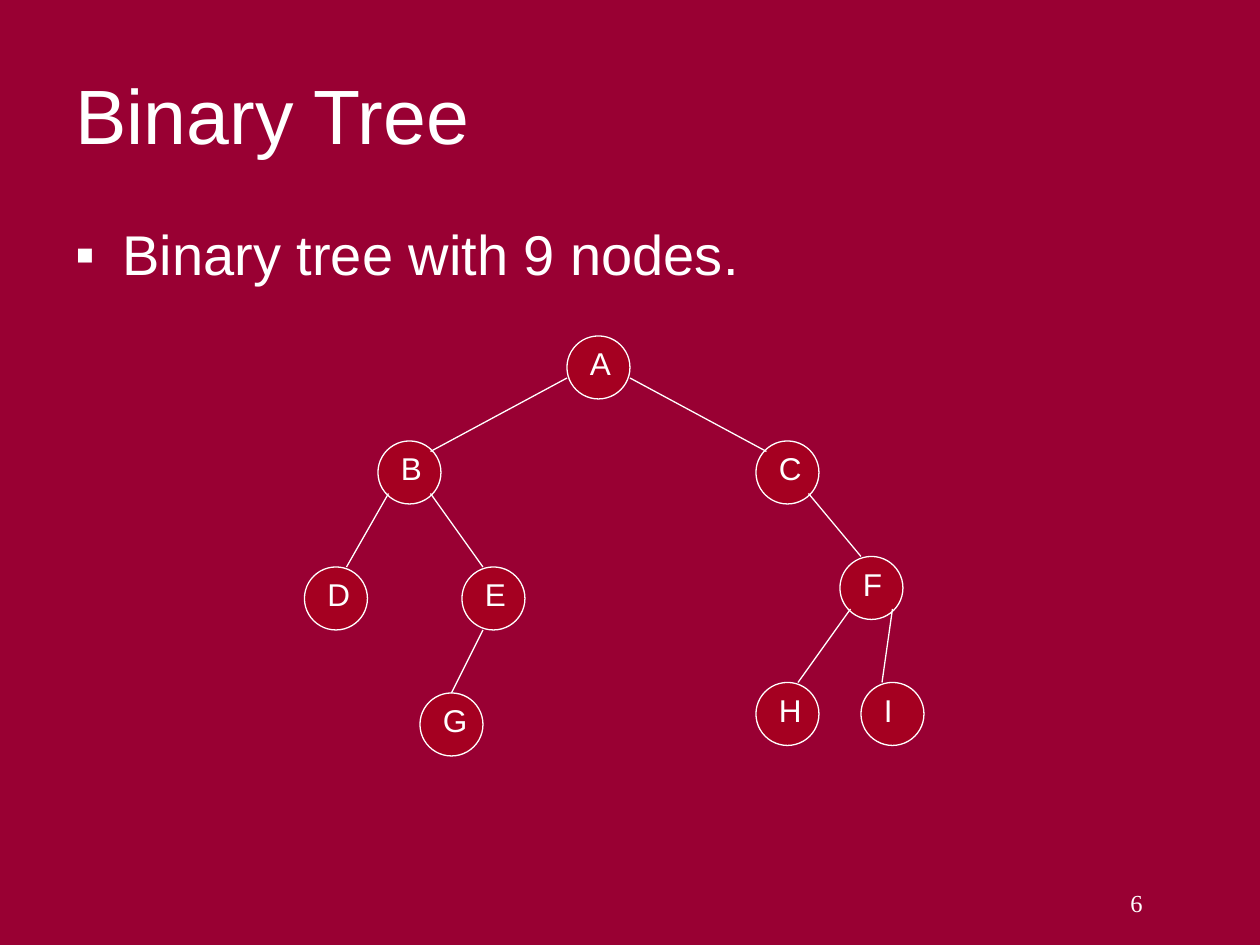
from dataclasses import dataclass

from lxml import etree
from pptx import Presentation
from pptx import util as u
from pptx.dml.color import RGBColor
from pptx.enum import shapes, text
from pptx.oxml.ns import qn

PX = u.Inches(1) // 120  # 120 px to the inch


@dataclass(frozen=True)
class Theme:
    background: RGBColor = RGBColor.from_string("990033")
    node: RGBColor = RGBColor.from_string("A50021")
    ink: RGBColor = RGBColor.from_string("FFFFFF")
    sans: str = "Arial"
    serif: str = "Times New Roman"
    title_size: int = 44
    body_size: int = 32
    label_size: int = 18
    number_size: int = 14
    line_width: float = 0.75


THEME = Theme()

# Left and top of each node, relative to the tree box
NODE_SIZE = 60
NODES = {
    "A": (250, 0), "B": (70, 100), "C": (430, 100),
    "D": (0, 220), "E": (150, 220), "F": (510, 210),
    "G": (110, 340), "H": (430, 330), "I": (530, 330),
}
WIDE_LABELS = "DGI"

# Parent, child, and where the edge meets each node
EDGES = [
    ("A", "B", (0, 40), (50, 10)), ("A", "C", (60, 40), (10, 10)),
    ("B", "D", (10, 50), (40, 0)), ("B", "E", (50, 50), (20, 0)),
    ("E", "G", (20, 60), (30, 0)), ("C", "F", (50, 50), (20, 0)),
    ("F", "H", (10, 50), (40, 0)), ("F", "I", (50, 50), (20, 0)),
]


def emu(*lengths):
    return [length * PX for length in lengths]


def write(frame, words, size, font=THEME.sans, align=text.PP_ALIGN.LEFT):
    frame.word_wrap = True
    frame.text = words
    paragraph = frame.paragraphs[0]
    paragraph.alignment = align
    run_font = paragraph.runs[0].font
    run_font.size, run_font.name = u.Pt(size), font
    run_font.color.rgb = THEME.ink
    return paragraph


def add_title(slide, box, words):
    title = slide.shapes.title
    title.left, title.top, title.width, title.height = emu(*box)
    title.text_frame.vertical_anchor = text.MSO_ANCHOR.MIDDLE
    write(title.text_frame, words, THEME.title_size)


def add_bullet(slide, box, words):
    frame = slide.shapes.add_textbox(*emu(*box)).text_frame
    paragraph = write(frame, words, THEME.body_size)
    paragraph.line_spacing = 0.9
    # Hanging square bullet
    properties = paragraph._p.get_or_add_pPr()
    indent = 45 * PX
    properties.set("marL", str(indent))
    properties.set("indent", str(-indent))
    colour = etree.SubElement(properties, qn("a:buClr"))
    etree.SubElement(colour, qn("a:srgbClr"), val=str(THEME.ink))
    etree.SubElement(properties, qn("a:buFont"), typeface=THEME.sans)
    etree.SubElement(properties, qn("a:buChar"), char="▪")


def add_node(slide, left, top, letter):
    circle = slide.shapes.add_shape(
        shapes.MSO_SHAPE.OVAL, *emu(left, top, NODE_SIZE, NODE_SIZE))
    circle.shadow.inherit = False
    circle.fill.solid()
    circle.fill.fore_color.rgb = THEME.node
    circle.line.color.rgb = THEME.ink
    circle.line.width = u.Pt(THEME.line_width)

    width = 50 if letter in WIDE_LABELS else 40
    label = slide.shapes.add_textbox(*emu(left + 10, top + 2, width, 48))
    write(label.text_frame, letter, THEME.label_size)


def add_edge(slide, start, end):
    edge = slide.shapes.add_connector(
        shapes.MSO_CONNECTOR.STRAIGHT, *emu(*start, *end))
    edge.line.color.rgb = THEME.ink
    edge.line.width = u.Pt(THEME.line_width)
    etree.SubElement(edge._element.spPr, qn("a:effectLst"))


def add_tree(slide, left, top):
    for letter, (x, y) in NODES.items():
        add_node(slide, left + x, top + y, letter)

    def joint(letter, offset):
        x, y = NODES[letter]
        return left + x + offset[0], top + y + offset[1]

    for parent, child, leaving, arriving in EDGES:
        add_edge(slide, joint(parent, leaving), joint(child, arriving))


def add_page_number(slide, box, number):
    frame = slide.shapes.add_textbox(*emu(*box)).text_frame
    write(frame, number, THEME.number_size, THEME.serif, text.PP_ALIGN.RIGHT)


def main():
    deck = Presentation()
    deck.slide_width, deck.slide_height = emu(1200, 900)
    slide = deck.slides.add_slide(deck.slide_layouts[5])
    slide.background.fill.solid()
    slide.background.fill.fore_color.rgb = THEME.background

    add_page_number(slide, (850, 840, 250, 60), "6")
    add_title(slide, (60, 48, 1080, 120), "Binary Tree")
    add_bullet(slide, (60, 210, 1080, 70), "Binary tree with 9 nodes.")
    add_tree(slide, 290, 320)
    deck.save("out.pptx")


if __name__ == "__main__":
    main()
